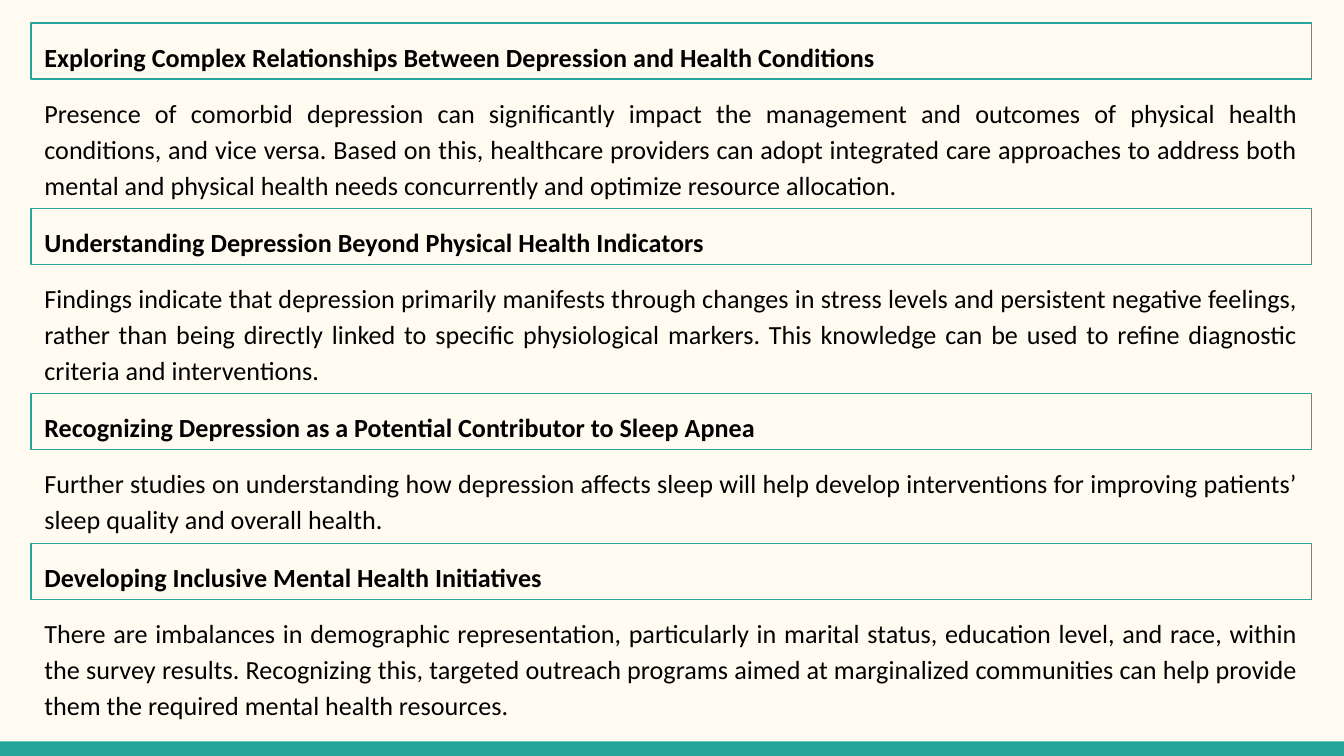
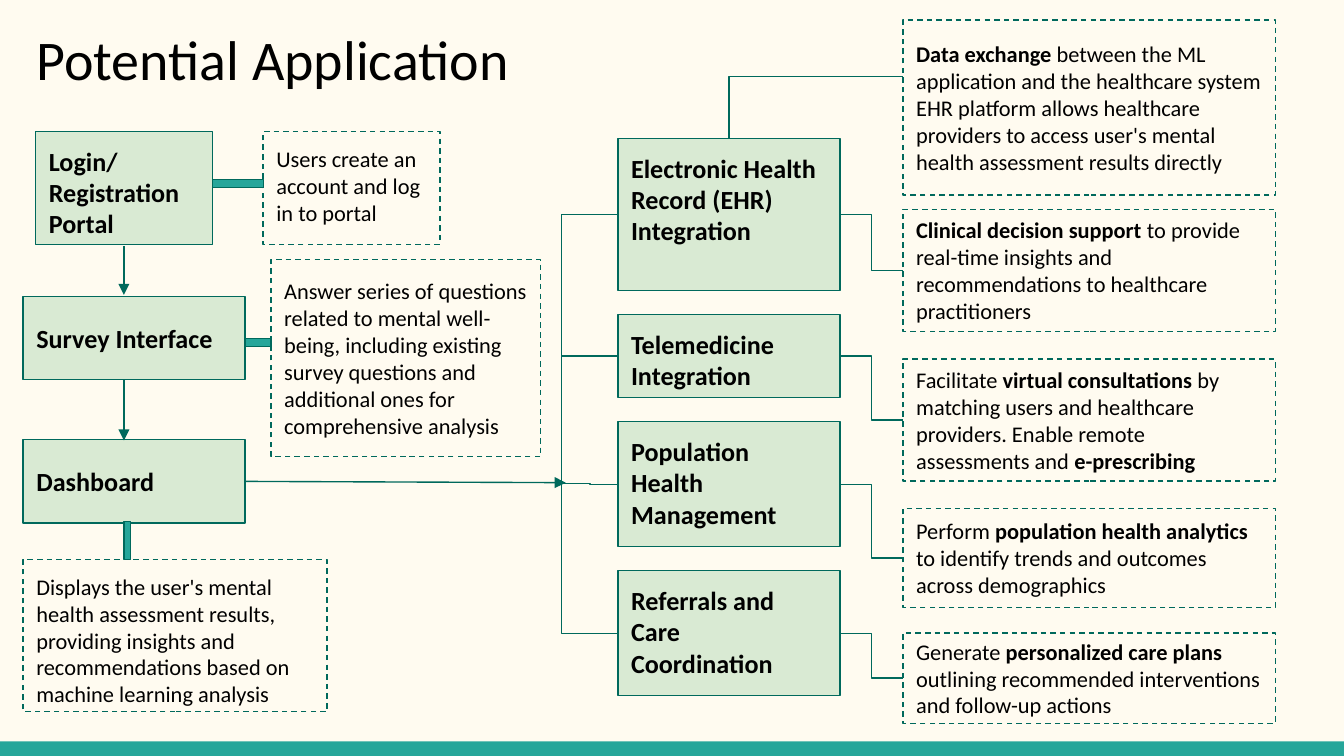
import pptx
import pptx.dml.color
import pptx.enum.dml
import pptx.enum.shapes
import pptx.enum.text
import pptx.oxml
import pptx.oxml.ns
import pptx.util

Pt = pptx.util.Pt
ANCHOR = pptx.enum.text.MSO_ANCHOR
ALIGN = pptx.enum.text.PP_ALIGN
CONNECTOR = pptx.enum.shapes.MSO_CONNECTOR

# Shared look
WIDTH, HEIGHT = 720, 405
BAND_HEIGHT = 7.8
INSET = 7.2
FONT = "Calibri"
COLORS = {
    "background": "FFFBF0",
    "teal": "26A69A",
    "dark_teal": "00695C",
    "box": "D9EAD3",
    "text": "000000",
}

# Slide 1: heading, body, body height
FINDINGS = [
    ("Exploring Complex Relationships Between Depression and Health Conditions",
     "Presence of comorbid depression can significantly impact the management and outcomes of "
     "physical health conditions, and vice versa. Based on this, healthcare providers can adopt "
     "integrated care approaches to address both mental and physical health needs concurrently "
     "and optimize resource allocation.", 69.3),
    ("Understanding Depression Beyond Physical Health Indicators",
     "Findings indicate that depression primarily manifests through changes in stress levels and "
     "persistent negative feelings, rather than being directly linked to specific physiological "
     "markers. This knowledge can be used to refine diagnostic criteria and interventions.", 69.3),
    ("Recognizing Depression as a Potential Contributor to Sleep Apnea",
     "Further studies on understanding how depression affects sleep will help develop "
     "interventions for improving patients’ sleep quality and overall health.", 50.3),
    ("Developing Inclusive Mental Health Initiatives",
     "There are imbalances in demographic representation, particularly in marital status, "
     "education level, and race, within the survey results. Recognizing this, targeted outreach "
     "programs aimed at marginalized communities can help provide them the required mental "
     "health resources.", 62),
]
FINDING_LEFT, FINDING_TOP, FINDING_WIDTH, HEADING_HEIGHT = 16.7, 12.3, 686, 30

# Slide 2: text, (left, top, width, height), anchor
TITLE = "Potential Application"
STEPS = [
    ("Login/\nRegistration Portal", (19.1, 70.5, 94.8, 60.5), ANCHOR.TOP),
    ("Survey Interface", (12.4, 158.9, 119, 44.6), ANCHOR.MIDDLE),
    ("Dashboard", (12.4, 235.6, 119, 44.6), ANCHOR.MIDDLE),
]
STEP_NOTES = [
    ("Users create an account and log in to portal", (141, 70.5, 94.8, 60.5), ANCHOR.TOP),
    ("Answer series of questions related to mental well-being, including existing survey "
     "questions and additional ones for comprehensive analysis",
     (145.2, 139.1, 144.5, 105.6), ANCHOR.MIDDLE),
    ("Displays the user's mental health assessment results, providing insights and "
     "recommendations based on machine learning analysis",
     (12.4, 299.8, 162.8, 81.4), ANCHOR.TOP),
]
STEP_BARS = [(113.9, 96.2, 27.2, 4.4), (131.5, 181.2, 13.8, 4.4), (66.4, 279.5, 3.6, 20.3)]
STEP_ARROWS = [(66.4, 131.8, 66.4, 158), (66.4, 203.3, 66.4, 236), (131.5, 257.9, 303.1, 258.6)]

# Integration, its height, its detail (bold between asterisks), detail top and height
INTEGRATIONS = [
    ("Electronic Health Record (EHR) Integration", 81.4,
     "*Clinical decision support* to provide real-time insights and recommendations to "
     "healthcare practitioners", 112.1, 65.4),
    ("Telemedicine Integration", 44.6,
     "Facilitate *virtual consultations* by matching users and healthcare providers. Enable "
     "remote assessments and *e-prescribing*", 192.4, 65.4),
    ("Population Health Management", 66.9,
     "Perform *population health analytics* to identify trends and outcomes across "
     "demographics", 272.4, 53),
    ("Referrals and Care Coordination", 66.9,
     "Generate *personalized care plans *outlining recommended interventions and follow-up "
     "actions", 339.2, 48.3),
]
DATA_EXCHANGE = ("*Data exchange* between the ML application and the healthcare system EHR "
                 "platform allows healthcare providers to access user's mental health "
                 "assessment results directly")
INTEGRATION_LEFT, INTEGRATION_TOP, INTEGRATION_WIDTH, INTEGRATION_GAP = 331, 74.2, 119, 12.9
DETAIL_LEFT, DETAIL_WIDTH = 483.7, 199.6
DATA_EXCHANGE_TOP, DATA_EXCHANGE_HEIGHT, DATA_EXCHANGE_JOIN = 10.7, 93.8, 41
BRANCH_X, BRANCH_Y = 301, 259


def color(name):
    return pptx.dml.color.RGBColor.from_string(COLORS[name])


def write(shape, text, size=14, bold=False, anchor=ANCHOR.TOP, align=ALIGN.LEFT, spacing=1.0):
    """Fill a shape with text; parts between asterisks are bold."""
    frame = shape.text_frame
    frame.word_wrap = True
    frame.auto_size = pptx.enum.text.MSO_AUTO_SIZE.NONE
    frame.vertical_anchor = anchor
    frame.margin_left = frame.margin_right = Pt(INSET)
    frame.margin_top = frame.margin_bottom = Pt(INSET)
    for index, line in enumerate(text.split("\n")):
        paragraph = frame.add_paragraph() if index else frame.paragraphs[0]
        paragraph.alignment = align
        paragraph.line_spacing = spacing
        paragraph.space_before = Pt(0)
        for part_index, part in enumerate(line.split("*")):
            if not part:
                continue
            run = paragraph.add_run()
            run.text = part
            run.font.name = FONT
            run.font.size = Pt(size)
            run.font.bold = bold or part_index % 2 == 1
            run.font.color.rgb = color("text")


def add_box(slide, place, fill=None, line=None, dashed=False):
    shape = slide.shapes.add_shape(pptx.enum.shapes.MSO_SHAPE.RECTANGLE, *map(Pt, place))
    shape.shadow.inherit = False
    if fill:
        shape.fill.solid()
        shape.fill.fore_color.rgb = color(fill)
    else:
        shape.fill.background()
    if line:
        shape.line.color.rgb = color(line)
        shape.line.width = Pt(0.75)
        if dashed:
            shape.line.dash_style = pptx.enum.dml.MSO_LINE.DASH
    else:
        shape.line.fill.background()
    return shape


def add_step(slide, text, place, anchor=ANCHOR.TOP):
    write(add_box(slide, place, "box", "dark_teal"), text, bold=True, anchor=anchor)


def add_note(slide, text, place, anchor=ANCHOR.MIDDLE):
    write(add_box(slide, place, line="dark_teal", dashed=True), text, size=12, anchor=anchor)


def connect(slide, points, kind=CONNECTOR.ELBOW, corner=False, arrow=False):
    """Join two points; a corner connector leaves the first one sideways and turns once."""
    connector = slide.shapes.add_connector(kind, *map(Pt, points))
    connector.line.color.rgb = color("dark_teal")
    connector.line.width = Pt(0.75)
    properties = connector.element.spPr
    if corner:
        properties.find(pptx.oxml.ns.qn("a:prstGeom")).set("prst", "bentConnector2")
    if arrow:
        namespace = pptx.oxml.ns.nsdecls("a")
        head = pptx.oxml.parse_xml(f'<a:tailEnd {namespace} type="triangle"/>')
        properties.find(pptx.oxml.ns.qn("a:ln")).append(head)
    properties.append(pptx.oxml.parse_xml(f'<a:effectLst {pptx.oxml.ns.nsdecls("a")}/>'))


def style_master(presentation, slide):
    """Give the master its background and bottom band."""
    master = presentation.slide_master
    master.background.fill.solid()
    master.background.fill.fore_color.rgb = color("background")
    band = add_box(slide, (0, HEIGHT - BAND_HEIGHT, WIDTH, BAND_HEIGHT), "teal")
    master.shapes.element.append(band.element)


def build_findings(slide):
    top = FINDING_TOP
    for heading, body, body_height in FINDINGS:
        place = (FINDING_LEFT, top, FINDING_WIDTH, HEADING_HEIGHT)
        write(add_box(slide, place, line="teal"), heading, bold=True, spacing=1.15)
        top += HEADING_HEIGHT
        place = (FINDING_LEFT, top, FINDING_WIDTH, body_height)
        text_box = slide.shapes.add_textbox(*map(Pt, place))
        write(text_box, body, align=ALIGN.JUSTIFY, spacing=1.15)
        top += body_height


def build_application(slide):
    title = slide.shapes.title
    title.left, title.top, title.width, title.height = map(Pt, (12.4, 5.8, 671, 48.2))
    write(title, TITLE, size=30)

    # User journey on the left
    for step in STEPS:
        add_step(slide, *step)
    for note in STEP_NOTES:
        add_note(slide, *note)
    for bar in STEP_BARS:
        add_box(slide, bar, "teal", "dark_teal")
    for arrow in STEP_ARROWS:
        connect(slide, arrow, CONNECTOR.STRAIGHT, arrow=True)

    # Integrations, each joined to the dashboard branch and to its detail
    top = INTEGRATION_TOP
    right = INTEGRATION_LEFT + INTEGRATION_WIDTH
    for name, height, detail, detail_top, detail_height in INTEGRATIONS:
        middle = top + height / 2
        add_step(slide, name, (INTEGRATION_LEFT, top, INTEGRATION_WIDTH, height))
        add_note(slide, detail, (DETAIL_LEFT, detail_top, DETAIL_WIDTH, detail_height))
        connect(slide, (right, middle, DETAIL_LEFT, detail_top + detail_height / 2))
        level = abs(middle - BRANCH_Y) < 2
        if level:
            connect(slide, (BRANCH_X, BRANCH_Y, INTEGRATION_LEFT, middle))
        else:
            connect(slide, (INTEGRATION_LEFT, middle, BRANCH_X, BRANCH_Y), corner=True)
        top += height + INTEGRATION_GAP

    # Data exchange above the record integration
    add_note(slide, DATA_EXCHANGE,
             (DETAIL_LEFT, DATA_EXCHANGE_TOP, DETAIL_WIDTH, DATA_EXCHANGE_HEIGHT))
    center = INTEGRATION_LEFT + INTEGRATION_WIDTH / 2
    connect(slide, (DETAIL_LEFT, DATA_EXCHANGE_JOIN, center, INTEGRATION_TOP), corner=True)


def main():
    presentation = pptx.Presentation()
    presentation.slide_width, presentation.slide_height = Pt(WIDTH), Pt(HEIGHT)
    title_only, blank = presentation.slide_layouts[5], presentation.slide_layouts[6]
    findings = presentation.slides.add_slide(blank)
    style_master(presentation, findings)
    build_findings(findings)
    build_application(presentation.slides.add_slide(title_only))
    presentation.save("out.pptx")


if __name__ == "__main__":
    main()
